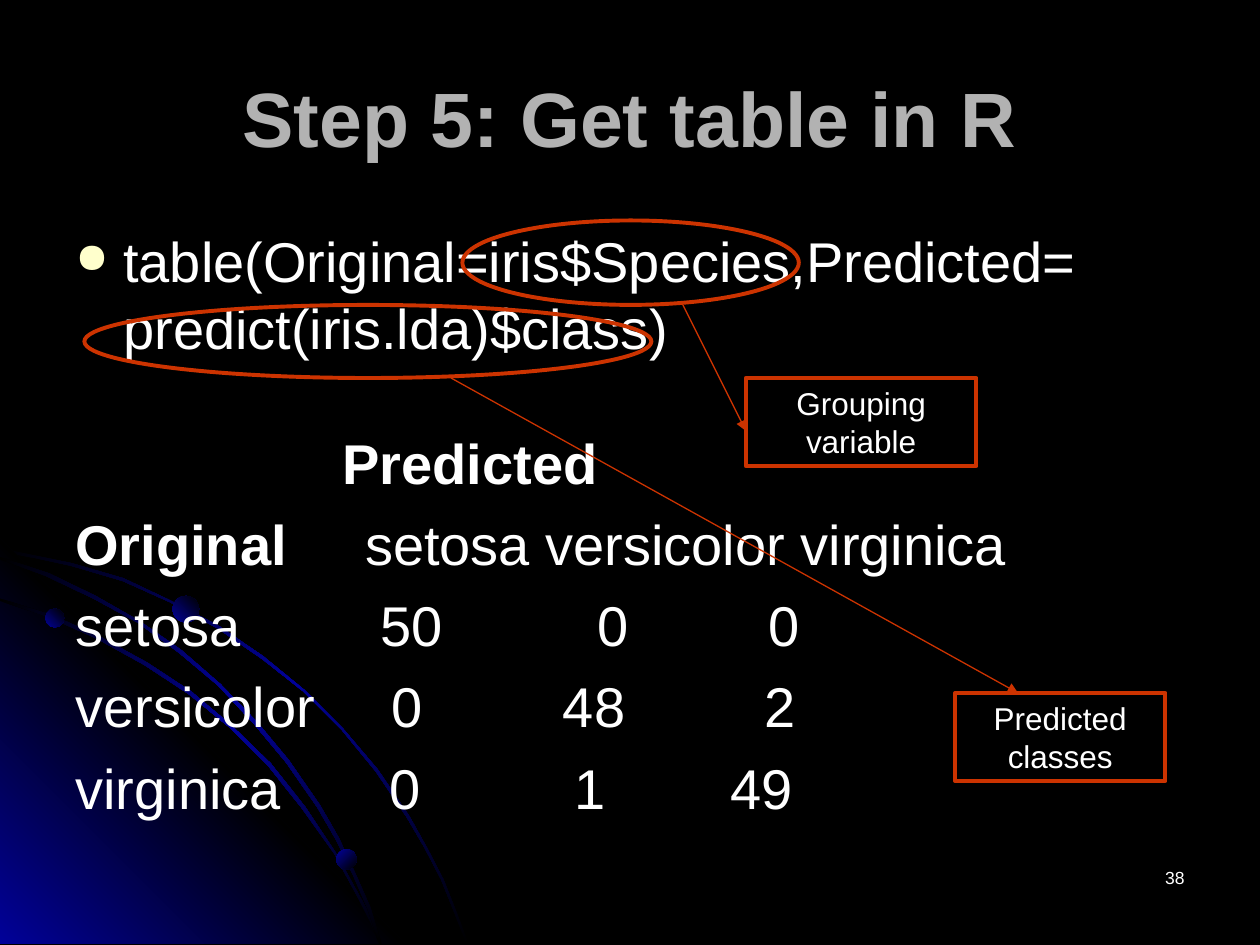
from lxml import etree
from pptx import Presentation
from pptx.dml.color import RGBColor
from pptx.enum.shapes import MSO_CONNECTOR, MSO_SHAPE
from pptx.enum.text import MSO_ANCHOR, PP_ALIGN
from pptx.oxml.ns import qn
from pptx.util import Inches, Pt

OVAL, RECT = MSO_SHAPE.OVAL, MSO_SHAPE.RECTANGLE
LINE = MSO_CONNECTOR.STRAIGHT
LEFT, MID, RIGHT = PP_ALIGN.LEFT, PP_ALIGN.CENTER, PP_ALIGN.RIGHT
TOP, MIDDLE = MSO_ANCHOR.TOP, MSO_ANCHOR.MIDDLE

BLACK = RGBColor(0x00, 0x00, 0x00)
BLUE = RGBColor(0x01, 0x01, 0x99)
WHITE = RGBColor(0xFF, 0xFF, 0xFF)
GREY = RGBColor(0xB2, 0xB2, 0xB2)
CREAM = RGBColor(0xFF, 0xFF, 0xCC)
RED = RGBColor(0xCC, 0x33, 0x00)

# Sweeping arcs: points along one edge and back along the other
ARCS = [
    [(0.57, 4.47), (0.28, 4.41), (0, 4.35), (0, 4.38), (0.28, 4.43),
     (0.56, 4.49), (0.97, 4.61), (1.35, 4.78), (1.73, 4.99), (2.08, 5.23),
     (2.41, 5.49), (2.71, 5.79), (2.98, 6.12), (3.23, 6.49), (3.37, 6.73),
     (3.5, 6.98), (3.6, 7.23), (3.7, 7.49), (3.72, 7.49), (3.62, 7.23),
     (3.52, 6.98), (3.39, 6.73), (3.25, 6.48), (3, 6.11), (2.72, 5.78),
     (2.42, 5.48), (2.09, 5.21), (1.74, 4.97), (1.36, 4.77), (0.98, 4.59)],
    [(2.85, 7.14), (2.94, 7.32), (3.01, 7.49), (3.03, 7.49), (2.96, 7.3),
     (2.86, 7.12), (2.66, 6.76), (2.42, 6.4), (2.15, 6.06), (1.84, 5.76),
     (1.52, 5.49), (1.17, 5.26), (0.79, 5.05), (0.41, 4.88), (0, 4.75),
     (0, 4.77), (0.39, 4.9), (0.77, 5.07), (1.15, 5.28), (1.5, 5.51),
     (1.83, 5.78), (2.13, 6.08), (2.4, 6.42), (2.65, 6.77)],
    [(0, 4.42), (0, 4.44), (0.36, 4.57), (0.74, 4.75), (1.09, 4.94),
     (1.42, 5.18), (1.73, 5.44), (2.02, 5.75), (2.27, 6.05), (2.52, 6.41),
     (2.67, 6.67), (2.8, 6.94), (2.92, 7.22), (3.01, 7.49), (3.03, 7.49),
     (2.94, 7.2), (2.82, 6.93), (2.69, 6.65), (2.54, 6.39), (2.29, 6.03),
     (2.04, 5.73), (1.75, 5.43), (1.44, 5.16), (1.11, 4.93), (0.76, 4.73),
     (0.39, 4.55)],
]
CORNER = [(0, 4.27), (3.22, 7.49), (0, 7.49)]

# Result rows: name, counts, tab stops
ROWS = [
    ("setosa", (50, 0, 0), (2.42, 4.14, 5.5)),
    ("versicolor", (0, 48, 2), (2.51, 3.87, 5.47)),
    ("virginica", (0, 1, 49), (2.49, 3.96, 5.2)),
]


def add(parent, tag, **attrs):
    return etree.SubElement(parent, qn(tag), {k: str(v) for k, v in attrs.items()})


class Deck:
    font = "Arial"
    lead = 1.2

    def __init__(self, slide):
        self.slide = slide
        self.shapes = slide.shapes

    def shade(self, shape, hues, angle):
        """Fill with evenly spaced hues along an angle, with no outline."""
        shape.shadow.inherit = False
        shape.line.fill.background()
        shape.fill.gradient()
        grad = shape.fill._xPr.find(qn("a:gradFill"))
        for child in list(grad):
            grad.remove(child)
        stops = add(grad, "a:gsLst")
        for i, hue in enumerate(hues):
            stop = add(stops, "a:gs", pos=i * 100000 // (len(hues) - 1))
            add(stop, "a:srgbClr", val=hue)
        add(grad, "a:lin", ang=angle * 60000, scaled=0)

    def patch(self, points, hues, angle):
        spots = [(Inches(x), Inches(y)) for x, y in points]
        form = self.shapes.build_freeform(*spots[0])
        form.add_line_segments(spots[1:], close=True)
        self.shade(form.convert_to_shape(), hues, angle)

    def ball(self, x, y, size, angle):
        ball = self.shapes.add_shape(
            OVAL, Inches(x), Inches(y), Inches(size), Inches(size))
        self.shade(ball, (BLUE, BLACK), angle)

    def frame(self, kind, *box):
        shape = self.shapes.add_shape(kind, *map(Inches, box))
        shape.shadow.inherit = False
        shape.fill.background()
        shape.line.color.rgb = RED
        shape.line.width = Pt(2.25)
        return shape

    def arrow(self, *ends):
        line = self.shapes.add_connector(LINE, *map(Inches, ends))
        line.line.color.rgb = RED
        line.line.width = Pt(0.75)
        add(line.line._get_or_add_ln(), "a:tailEnd", type="triangle")
        add(line._element.spPr, "a:effectLst")

    def box(self, *box, anchor=TOP):
        frame = self.shapes.add_textbox(*map(Inches, box)).text_frame
        frame.word_wrap = True
        frame.vertical_anchor = anchor
        return frame

    def para(self, para, size, color=WHITE, align=LEFT, bold=None,
             before=0, indent=0, bullet=None, stops=()):
        props = para._p.get_or_add_pPr()
        if indent:
            props.set("marL", str(Inches(indent)))
        if bullet:
            props.set("indent", str(-Inches(indent)))
            add(add(props, "a:buClr"), "a:srgbClr", val=CREAM)
            add(props, "a:buSzPct", val=75000)
            add(props, "a:buChar", char=bullet)
        if stops:
            tabs = add(props, "a:tabLst")
            for stop in stops:
                add(tabs, "a:tab", pos=Inches(stop), algn="l")
        para.alignment = align
        para.line_spacing = Pt(round(size * self.lead, 1))
        if before:
            para.space_before = Pt(before)
        font = para.font
        font.name, font.size, font.bold = self.font, Pt(size), bold
        font.color.rgb = color

    def label(self, text, *box):
        frame = self.frame(RECT, *box).text_frame
        frame.word_wrap = True
        frame.vertical_anchor = TOP
        frame.text = text
        self.para(frame.paragraphs[0], 18, align=MID)


def main():
    prs = Presentation()
    prs.slide_width, prs.slide_height = Inches(10), Inches(7.5)
    slide = prs.slides.add_slide(prs.slide_layouts[6])
    slide.background.fill.solid()
    slide.background.fill.fore_color.rgb = BLACK
    deck = Deck(slide)

    # Backdrop
    glow = (BLACK, BLUE, BLACK)
    deck.patch(ARCS[0], glow, 45)
    deck.patch(CORNER, (BLUE, BLACK, BLUE), 315)
    for arc in ARCS[1:]:
        deck.patch(arc, glow, 45)
    deck.ball(0.36, 4.83, 0.15, 315)
    deck.ball(2.67, 6.74, 0.16, 45)
    deck.ball(1.37, 4.73, 0.21, 315)

    # Slide number and title
    page = deck.box(7.17, 6.83, 2.33, 0.5)
    page.text = "38"
    deck.para(page.paragraphs[0], 10, align=RIGHT)
    title = deck.box(0.5, 0.3, 9, 1.25, anchor=MIDDLE)
    title.text = "Step 5: Get table in R"
    deck.para(title.paragraphs[0], 44, GREY, MID, bold=True)

    # Command
    body = deck.box(0.5, 1.75, 9, 4.95)
    code = body.paragraphs[0]
    code.text = "table(Original=iris$Species,Predicted=\vpredict(iris.lda)$class)"
    deck.para(code, 32, indent=0.38, bullet="●")

    # Output headings
    head = body.add_paragraph()
    head.text = "Predicted"
    deck.para(head, 32, bold=True, before=38.4, indent=2.12)
    names = body.add_paragraph()
    for text, bold in (("Original", True),
                       ("\tsetosa versicolor virginica", False)):
        run = names.add_run()
        run.text = text
        run.font.bold = bold
    deck.para(names, 32, before=8, stops=[2.3])

    # Output counts
    for name, counts, stops in ROWS:
        row = body.add_paragraph()
        row.text = "\t".join([name, *map(str, counts)])
        deck.para(row, 32, before=8, stops=stops)

    # Callouts
    deck.frame(OVAL, 3.67, 1.75, 2.67, 0.67)
    deck.arrow(5.42, 2.42, 5.92, 3.42)
    deck.label("Grouping variable", 5.92, 3, 1.83, 0.7)
    deck.frame(OVAL, 0.67, 2.42, 4.5, 0.58)
    deck.arrow(3.58, 3, 8.08, 5.5)
    deck.label("Predicted classes", 7.58, 5.5, 1.67, 0.7)

    prs.save("out.pptx")


if __name__ == "__main__":
    main()
